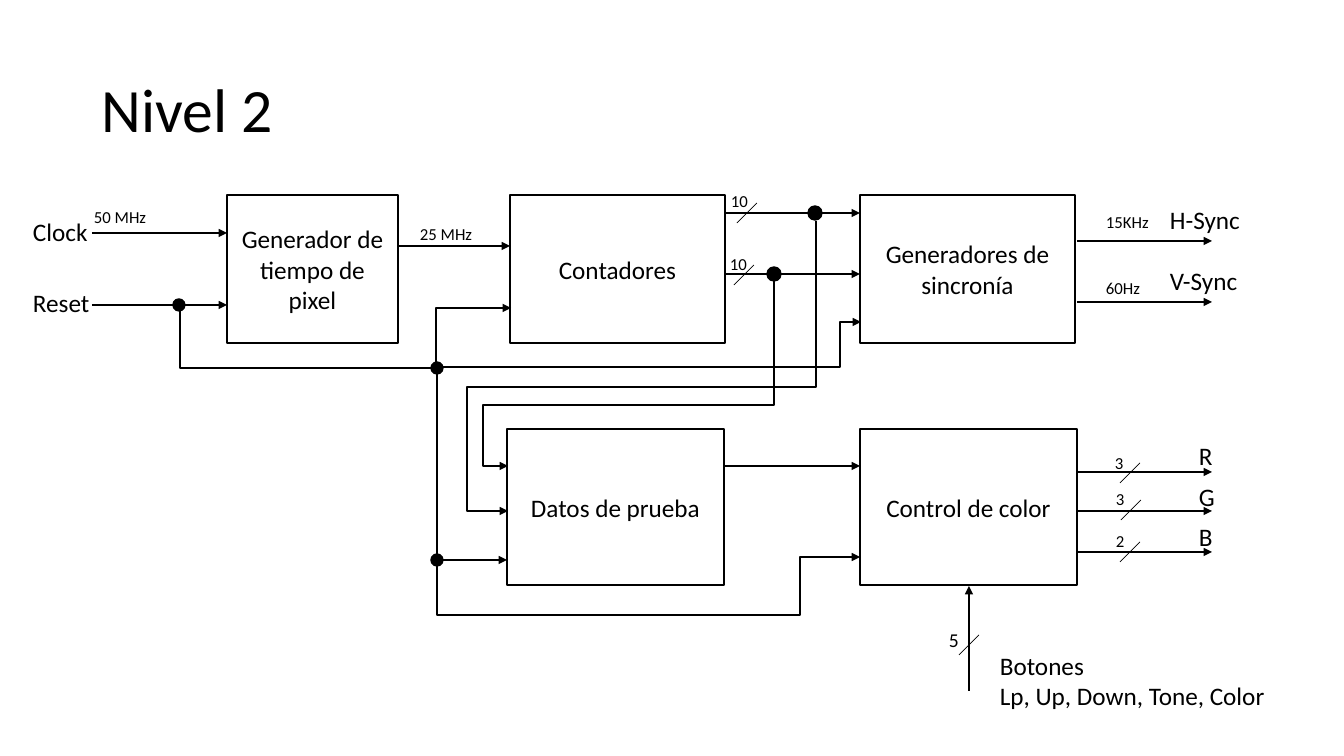
from typing import NamedTuple

from lxml.etree import SubElement
from pptx import Presentation
from pptx.dml.color import RGBColor
from pptx.enum.shapes import MSO_CONNECTOR as Link, MSO_SHAPE as Preset
from pptx.enum.text import MSO_ANCHOR as Anchor, PP_ALIGN as Align
from pptx.oxml.ns import qn
from pptx.util import Emu, Pt

EMU_PER_PIXEL = 914400 / 100.8
FONT = "Calibri"
COLORS = {"ink": "000000", "paper": "FFFFFF"}
LABEL_HEIGHTS = {12: 30, 14: 34, 18: 40}
SLASH_REACH = 10
ROW_TOP, ROW_HEIGHT = 195, 148
LOWER_TOP, LOWER_HEIGHT = 429, 156

Point = tuple[int, int]


class Block(NamedTuple):
    name: str
    left: int
    top: int
    width: int
    height: int


class Label(NamedTuple):
    text: str
    left: int
    top: int
    width: int
    size: int = 18


class Junction(NamedTuple):
    x: int
    y: int
    diameter: int


BLOCKS = [
    Block("Generador de tiempo de pixel", 227, ROW_TOP, 171, ROW_HEIGHT),
    Block("Contadores", 510, ROW_TOP, 215, ROW_HEIGHT),
    Block("Generadores de sincronía", 860, ROW_TOP, 215, ROW_HEIGHT),
    Block("Datos de prueba", 507, LOWER_TOP, 217, LOWER_HEIGHT),
    Block("Control de color", 860, LOWER_TOP, 217, LOWER_HEIGHT),
]

LABELS = [
    Label("Clock", 23, 211, 76),
    Label("Reset", 23, 282, 78),
    Label("50 MHz", 84, 202, 74, 12),
    Label("25 MHz", 410, 219, 74, 12),
    Label("10", 721, 186, 37, 12),
    Label("10", 720, 249, 37, 12),
    Label("15KHz", 1096, 207, 64, 12),
    Label("60Hz", 1096, 273, 55, 12),
    Label("H-Sync", 1160, 199, 91),
    Label("V-Sync", 1160, 260, 91),
    Label("3", 1105, 448, 29, 12),
    Label("3", 1106, 484, 29, 12),
    Label("2", 1106, 526, 29, 12),
    Label("R", 1189, 435, 34),
    Label("G", 1189, 476, 36),
    Label("B", 1189, 516, 34),
    Label("5", 939, 623, 30, 14),
    Label("Botones\nLp, Up, Down, Tone, Color", 990, 645, 294),
]

# Horizontal signals: start x, end x, heights
SIGNALS = [
    (92, 227, (233, 305)),
    (398, 510, (246,)),
    (725, 860, (213, 274, 466)),
    (1077, 1212, (241, 302, 472, 511, 552)),
]
BUTTONS_SIGNAL = ((969, 691), (969, 586))

# Bent signals: start, corners, end
ROUTES = [
    [(774, 281), (774, 405), (483, 405), (483, 466), (508, 466)],
    [(816, 221), (816, 387), (467, 387), (467, 511), (508, 511)],
    [(180, 311), (180, 368), (436, 368), (436, 308), (511, 308)],
    [(443, 367), (840, 367), (840, 322), (861, 322)],
    [(437, 373), (437, 560), (507, 560)],
    [(437, 566), (437, 615), (800, 615), (800, 557), (860, 557)],
]

BUS_SLASHES = [(747, 213), (744, 275), (969, 645), (1130, 473), (1131, 510), (1130, 552)]

JUNCTIONS = [
    Junction(815, 213, 14),
    Junction(774, 274, 14),
    Junction(179, 305, 12),
    Junction(437, 368, 12),
    Junction(437, 560, 12),
]


def px(pixels: float) -> Emu:
    """Turn pixels into EMU."""
    return Emu(round(pixels * EMU_PER_PIXEL))


def color(key: str) -> RGBColor:
    """Look up a named colour."""
    return RGBColor.from_string(COLORS[key])


def write(frame, text: str, size: int, align=Align.LEFT) -> None:
    """Fill a text frame, one paragraph per line of text."""
    frame.text = text
    for paragraph in frame.paragraphs:
        paragraph.alignment = align
        paragraph.font.size = Pt(size)
        paragraph.font.name = FONT
        paragraph.font.color.rgb = color("ink")


def add_solid(slide, preset, left: float, top: float, width: int, height: int, fill: str):
    """Add a filled shape with a thin outline."""
    solid = slide.shapes.add_shape(preset, px(left), px(top), px(width), px(height))
    solid.shadow.inherit = False
    solid.fill.solid()
    solid.fill.fore_color.rgb = color(fill)
    solid.line.color.rgb = color("ink")
    solid.line.width = Pt(1)
    return solid


def add_block(slide, block: Block) -> None:
    """Add a named block of the diagram."""
    box = add_solid(slide, Preset.RECTANGLE, *block[1:], "paper")
    box.text_frame.word_wrap = True
    box.text_frame.vertical_anchor = Anchor.MIDDLE
    write(box.text_frame, block.name, 18, Align.CENTER)


def add_label(slide, label: Label) -> None:
    """Add a signal label on one or more lines."""
    extra_lines = label.text.count("\n")
    height = LABEL_HEIGHTS[label.size] + 31 * extra_lines
    box = slide.shapes.add_textbox(px(label.left), px(label.top), px(label.width), px(height))
    box.text_frame.word_wrap = False
    write(box.text_frame, label.text, label.size)


def add_title(slide, title: str) -> None:
    """Add the slide heading."""
    heading = slide.shapes.add_textbox(px(92), px(40), px(1159), px(146))
    heading.text_frame.word_wrap = True
    heading.text_frame.vertical_anchor = Anchor.MIDDLE
    write(heading.text_frame, title, 44)
    heading.text_frame.paragraphs[0].line_spacing = 0.9


def add_line(slide, start: Point, end: Point, width: float = 1.5, arrow: bool = True,
             link=Link.STRAIGHT):
    """Add a connector, with an arrowhead at its end if wanted."""
    line = slide.shapes.add_connector(link, *map(px, (*start, *end)))
    line.line.color.rgb = color("ink")
    line.line.width = Pt(width)
    properties = line.element.spPr
    if arrow:
        SubElement(properties.find(qn("a:ln")), qn("a:tailEnd"), type="triangle")
    SubElement(properties, qn("a:effectLst"))
    return line


def add_route(slide, points: list[Point]) -> None:
    """Add an elbow connector that turns at each inner point."""
    start, end = points[0], points[-1]
    line = add_line(slide, start, end, link=Link.ELBOW)
    dx, dy = end[0] - start[0], end[1] - start[1]
    upright = points[1][0] == start[0]
    along, across = (dy, -dx) if upright else (dx, dy)
    line.left = px((start[0] + end[0] - abs(along)) / 2)
    line.top = px((start[1] + end[1] - abs(across)) / 2)
    line.width, line.height = px(abs(along)), px(abs(across))

    frame = line.element.spPr.find(qn("a:xfrm"))
    frame.set("rot", str(90 * 60000 if upright else 0))
    frame.set("flipH", str(int(along < 0)))
    frame.set("flipV", str(int(across < 0)))

    geometry = line.element.spPr.find(qn("a:prstGeom"))
    geometry.set("prst", f"bentConnector{len(points) - 1}")
    guides = geometry.find(qn("a:avLst"))
    axis = 1 if upright else 0
    for number, corner in enumerate(points[1:-2], 1):
        share = (corner[axis] - start[axis]) / (end[axis] - start[axis])
        SubElement(guides, qn("a:gd"), name=f"adj{number}", fmla=f"val {round(share * 100000)}")
        axis = 1 - axis


def main() -> None:
    """Build and save the slide."""
    deck = Presentation()
    deck.slide_width, deck.slide_height = px(1344), px(756)
    slide = deck.slides.add_slide(deck.slide_layouts[6])
    add_title(slide, "Nivel 2")
    for block in BLOCKS:
        add_block(slide, block)
    for start_x, end_x, heights in SIGNALS:
        for y in heights:
            add_line(slide, (start_x, y), (end_x, y))
    add_line(slide, *BUTTONS_SIGNAL)
    for route in ROUTES:
        add_route(slide, route)
    for x, y in BUS_SLASHES:
        add_line(slide, (x + SLASH_REACH, y - SLASH_REACH), (x - SLASH_REACH, y + SLASH_REACH),
                 width=0.5, arrow=False)
    for x, y, size in JUNCTIONS:
        add_solid(slide, Preset.OVAL, x - size / 2, y - size / 2, size, size, "ink")
    for label in LABELS:
        add_label(slide, label)
    deck.save("out.pptx")


main()
